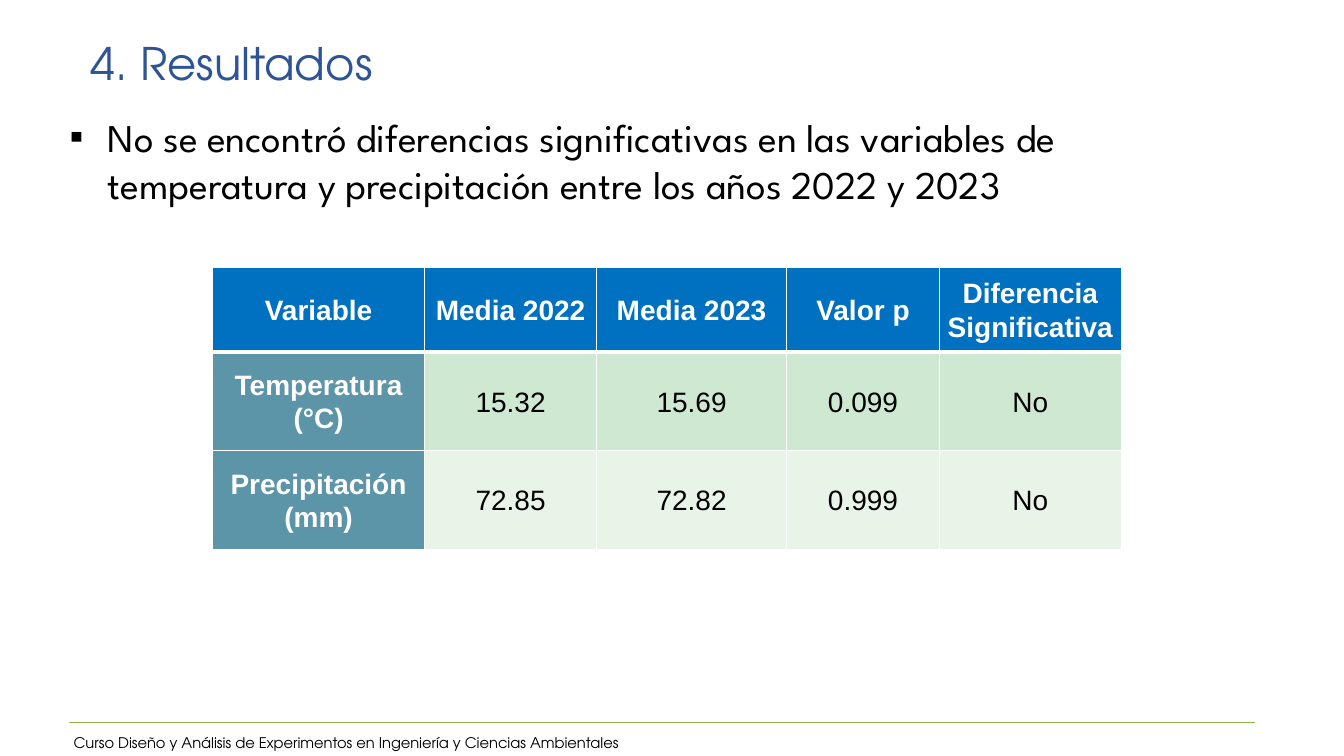
"""Build the results slide comparing temperature and precipitation across two years."""
from dataclasses import dataclass

from lxml.etree import SubElement
from pptx import Presentation
from pptx.dml.color import RGBColor
from pptx.enum.shapes import MSO_CONNECTOR
from pptx.enum.text import MSO_ANCHOR, PP_ALIGN
from pptx.oxml.ns import qn
from pptx.util import Pt

EMU_PER_PX = 9144


@dataclass(frozen=True)
class Theme:
    """Colours, fonts and type sizes of the slide."""

    black: str = "000000"
    white: str = "FFFFFF"
    title: str = "2F5496"
    rule: str = "8CB64A"
    header: str = "0070C0"
    label: str = "5C94A8"
    bands: tuple = ("CFE8D1", "E9F4E9")
    heading_font: str = "TeX Gyre Adventor"
    body_font: str = "League Spartan"
    table_font: str = "Arial"
    title_size: float = 32
    body_size: float = 28
    table_size: float = 20
    footer_size: float = 10.5


THEME = Theme()
COLUMN_WIDTHS = (210, 171, 188, 152, 180)
ROW_HEIGHTS = (84, 98, 98)
RESULTS = (
    ("Variable", "Media 2022", "Media 2023", "Valor p", "Diferencia Significativa"),
    ("Temperatura (°C)", "15.32", "15.69", "0.099", "No"),
    ("Precipitación (mm)", "72.85", "72.82", "0.999", "No"),
)


def px(length):
    """Turn pixels into EMU."""
    return length * EMU_PER_PX


def set_margins(target, horizontal, vertical):
    """Set the inner margins of a text frame or a cell."""
    target.margin_left = target.margin_right = px(horizontal)
    target.margin_top = target.margin_bottom = px(vertical)


def format_runs(para, font, size, colour, bold=False):
    """Give every run of a paragraph its font."""
    for span in para.runs:
        span.font.name = font
        span.font.size = Pt(size)
        span.font.bold = bold
        span.font.color.rgb = RGBColor.from_string(colour)


def add_text(page, bounds, text, font, size, colour, margins=(5, 2)):
    """Add a wrapping text box and return its paragraph."""
    box = page.shapes.add_textbox(*map(px, bounds))
    frame = box.text_frame
    frame.word_wrap = True
    frame.vertical_anchor = MSO_ANCHOR.TOP
    set_margins(frame, *margins)
    frame.text = text
    para = frame.paragraphs[0]
    format_runs(para, font, size, colour)
    return para


def add_bullet(para, symbol, indent, colour):
    """Give a paragraph a hanging bullet."""
    properties = para._p.get_or_add_pPr()
    properties.set("marL", str(px(indent)))
    properties.set("indent", str(px(-indent)))
    bullet_colour = SubElement(properties, qn("a:buClr"))
    SubElement(bullet_colour, qn("a:srgbClr"), val=colour)
    SubElement(properties, qn("a:buFont"), typeface=THEME.table_font)
    SubElement(properties, qn("a:buChar"), char=symbol)


def add_rule(page, left, top, right):
    """Add a thin horizontal line."""
    rule = page.shapes.add_connector(
        MSO_CONNECTOR.STRAIGHT, px(left), px(top), px(right), px(top))
    rule.line.color.rgb = RGBColor.from_string(THEME.rule)
    rule.line.width = Pt(0.5)
    SubElement(rule._element.spPr, qn("a:effectLst"))


def set_borders(cell, widths):
    """Draw white borders, with widths in points for each side."""
    properties = cell._tc.get_or_add_tcPr()
    for position, (side, width) in enumerate(widths.items()):
        border = SubElement(properties, qn(f"a:{side}"), w=str(Pt(width)))
        fill = SubElement(border, qn("a:solidFill"))
        SubElement(fill, qn("a:srgbClr"), val=THEME.white)
        properties.insert(position, border)


def style_cell(cell, row, column):
    """Colour and format a cell by its place in the table."""
    is_heading = row == 0 or column == 0
    if row == 0:
        background = THEME.header
    elif column == 0:
        background = THEME.label
    else:
        background = THEME.bands[row - 1]
    cell.fill.solid()
    cell.fill.fore_color.rgb = RGBColor.from_string(background)
    cell.vertical_anchor = MSO_ANCHOR.MIDDLE
    set_margins(cell, 7, 0)
    para = cell.text_frame.paragraphs[0]
    para.alignment = PP_ALIGN.CENTER
    para.line_spacing = 1.07
    para.space_after = Pt(8)
    colour = THEME.white if is_heading else THEME.black
    format_runs(para, THEME.table_font, THEME.table_size, colour, is_heading)
    set_borders(cell, {"lnL": 1, "lnR": 1, "lnT": 3 if row == 1 else 1,
                       "lnB": 3 if row == 0 else 1})


def add_results_table(page, left, top):
    """Add the table of yearly means."""
    frame = page.shapes.add_table(
        len(RESULTS), len(COLUMN_WIDTHS), px(left), px(top),
        px(sum(COLUMN_WIDTHS)), px(sum(ROW_HEIGHTS)))
    table = frame.table
    for column, width in zip(table.columns, COLUMN_WIDTHS):
        column.width = px(width)
    for row, height in zip(table.rows, ROW_HEIGHTS):
        row.height = px(height)
    for row, values in enumerate(RESULTS):
        for column, value in enumerate(values):
            cell = table.cell(row, column)
            cell.text = value
            style_cell(cell, row, column)


def main():
    """Compose and save the slide."""
    deck = Presentation()
    deck.slide_width, deck.slide_height = px(1333), px(750)
    page = deck.slides.add_slide(deck.slide_layouts[6])
    footer = add_text(
        page, (68, 717, 1159, 32),
        "Curso Diseño y Análisis de Experimentos en Ingeniería y Ciencias Ambientales",
        THEME.heading_font, THEME.footer_size, THEME.black)
    footer.line_spacing = 1.5
    add_text(page, (85, 33, 1164, 49), "4. Resultados",
             THEME.heading_font, THEME.title_size, THEME.title)
    add_results_table(page, 211, 265)
    finding = add_text(
        page, (56, 99, 1192, 149),
        "No se encontró diferencias significativas en las variables de "
        "temperatura y precipitación entre los años 2022 y 2023",
        THEME.body_font, THEME.body_size, THEME.black, (13, 13))
    add_bullet(finding, "▪", 38, THEME.black)
    add_rule(page, 68, 717, 1245)
    deck.save("out.pptx")


if __name__ == "__main__":
    main()
